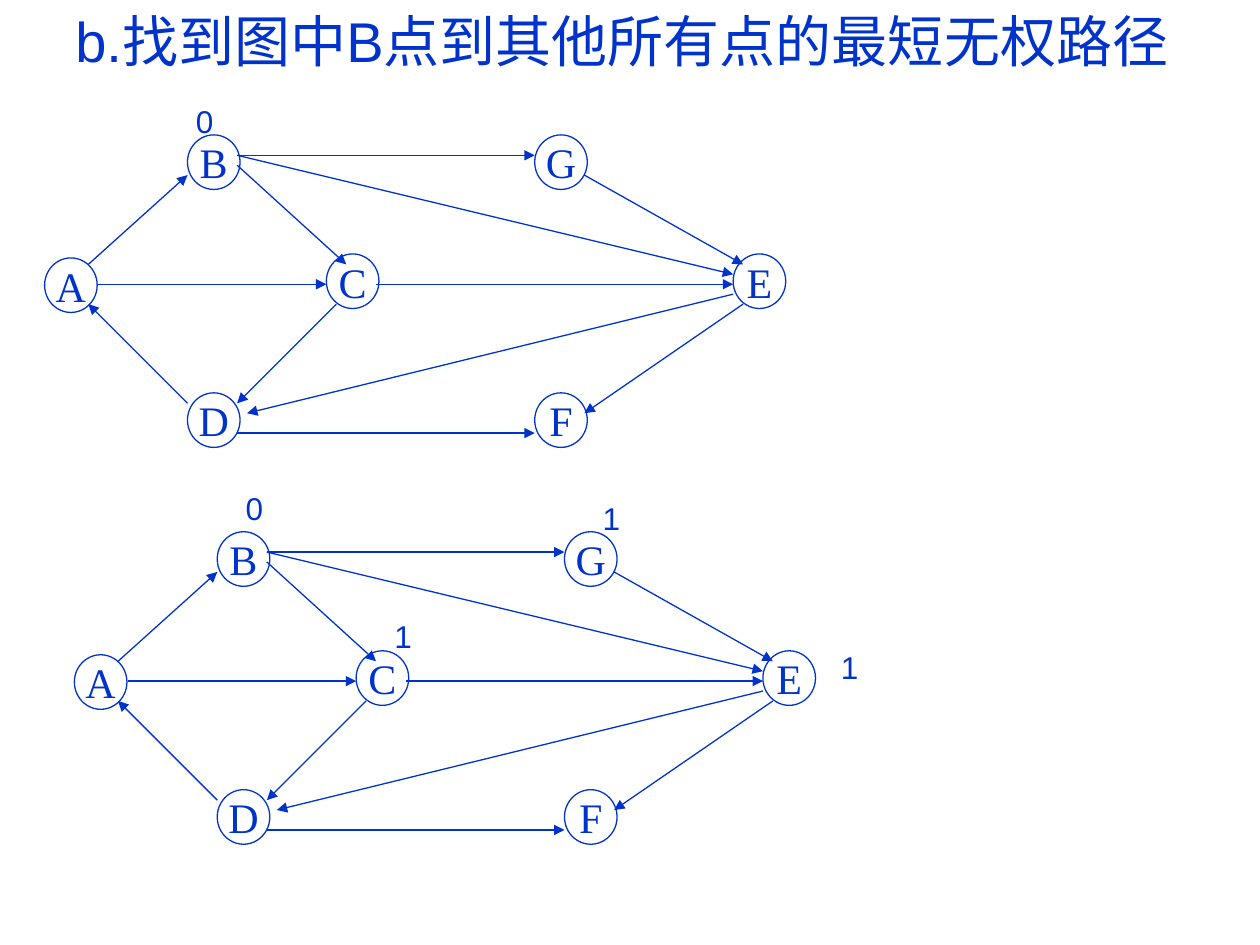
from dataclasses import dataclass

from lxml.etree import SubElement
from pptx import Presentation
from pptx.dml.color import RGBColor
from pptx.enum.shapes import MSO_CONNECTOR, MSO_SHAPE
from pptx.enum.text import MSO_ANCHOR, PP_ALIGN
from pptx.oxml.ns import qn
from pptx.util import Cm, Pt


@dataclass(frozen=True)
class Theme:
    blue: RGBColor = RGBColor(0x00, 0x33, 0xCC)
    sans: str = "Arial"
    serif: str = "Times New Roman"
    title_size: Pt = Pt(32)
    node_size: Pt = Pt(24)
    distance_size: Pt = Pt(18)
    line_width: Pt = Pt(0.75)


theme = Theme()


def write(shape, text, font_name, size):
    para = shape.text_frame.paragraphs[0]
    para.text = text
    font = para.runs[0].font
    font.name, font.size = font_name, size
    font.color.rgb = theme.blue
    return para


def draw_line(line):
    line.color.rgb = theme.blue
    line.width = theme.line_width


# All positions are in centimetres, measured on the upper graph
NODE_WIDTH, NODE_HEIGHT = 1.06, 1.1
nodes = {
    "A": (0.9, 5.2),
    "B": (3.78, 2.72),
    "D": (3.78, 7.92),
    "G": (10.78, 2.72),
    "F": (10.78, 7.92),
    "C": (6.58, 5.12),
    "E": (14.78, 5.12),
}
edges = [
    (1.78, 5.33, 3.78, 3.53),    # A to B
    (3.78, 8.13, 1.78, 6.13),    # D to A
    (1.98, 5.73, 6.58, 5.73),    # A to C
    (4.78, 3.33, 6.98, 5.33),    # B to C
    (6.78, 6.13, 4.78, 8.13),    # C to D
    (7.58, 5.73, 14.78, 5.73),   # C to E
    (4.78, 3.13, 10.78, 3.13),   # B to G
    (11.78, 3.53, 14.98, 5.33),  # G to E
    (4.78, 3.13, 14.78, 5.53),   # B to E
    (4.78, 8.73, 10.78, 8.73),   # D to F
    (14.78, 5.93, 4.98, 8.33),   # E to D
    (14.98, 6.13, 11.78, 8.33),  # E to F
]
graph_offsets = [(0, 0), (0.6, 8)]
distances = [
    ("0", 3.7, 1.93),
    ("1", 7.7, 12.32),
    ("1", 11.9, 9.93),
    ("0", 4.7, 9.73),
    ("1", 16.7, 12.93),
]

deck = Presentation()
deck.slide_width, deck.slide_height = Cm(25.4), Cm(19.05)
page = deck.slides.add_slide(deck.slide_layouts[6])

title = page.shapes.add_textbox(Cm(1.27), Cm(0), Cm(22.86), Cm(17.02))
title.text_frame.word_wrap = True
title_para = write(title, "b.找到图中B点到其他所有点的最短无权路径",
                   theme.sans, theme.title_size)
title_properties = title_para._p.get_or_add_pPr()
title_properties.set("marL", str(Cm(0.95)))
title_properties.set("indent", str(Cm(-0.95)))

for shift_x, shift_y in graph_offsets:
    graph = page.shapes.add_group_shape()

    for name, (left, top) in nodes.items():
        node = graph.shapes.add_shape(
            MSO_SHAPE.OVAL, Cm(left + shift_x), Cm(top + shift_y),
            Cm(NODE_WIDTH), Cm(NODE_HEIGHT))
        node.shadow.inherit = False
        node.fill.background()
        draw_line(node.line)
        node.text_frame.word_wrap = False
        node.text_frame.vertical_anchor = MSO_ANCHOR.MIDDLE
        para = write(node, name, theme.serif, theme.node_size)
        para.alignment = PP_ALIGN.CENTER

    for start_x, start_y, end_x, end_y in edges:
        edge = graph.shapes.add_connector(
            MSO_CONNECTOR.STRAIGHT,
            Cm(start_x + shift_x), Cm(start_y + shift_y),
            Cm(end_x + shift_x), Cm(end_y + shift_y))
        draw_line(edge.line)
        SubElement(edge.line._get_or_add_ln(), qn("a:tailEnd"), type="triangle")
        SubElement(edge._element.spPr, qn("a:effectLst"))

for distance, left, top in distances:
    label = page.shapes.add_textbox(Cm(left), Cm(top), Cm(1), Cm(1.02))
    label.text_frame.word_wrap = True
    write(label, distance, theme.sans, theme.distance_size)

deck.save("out.pptx")
